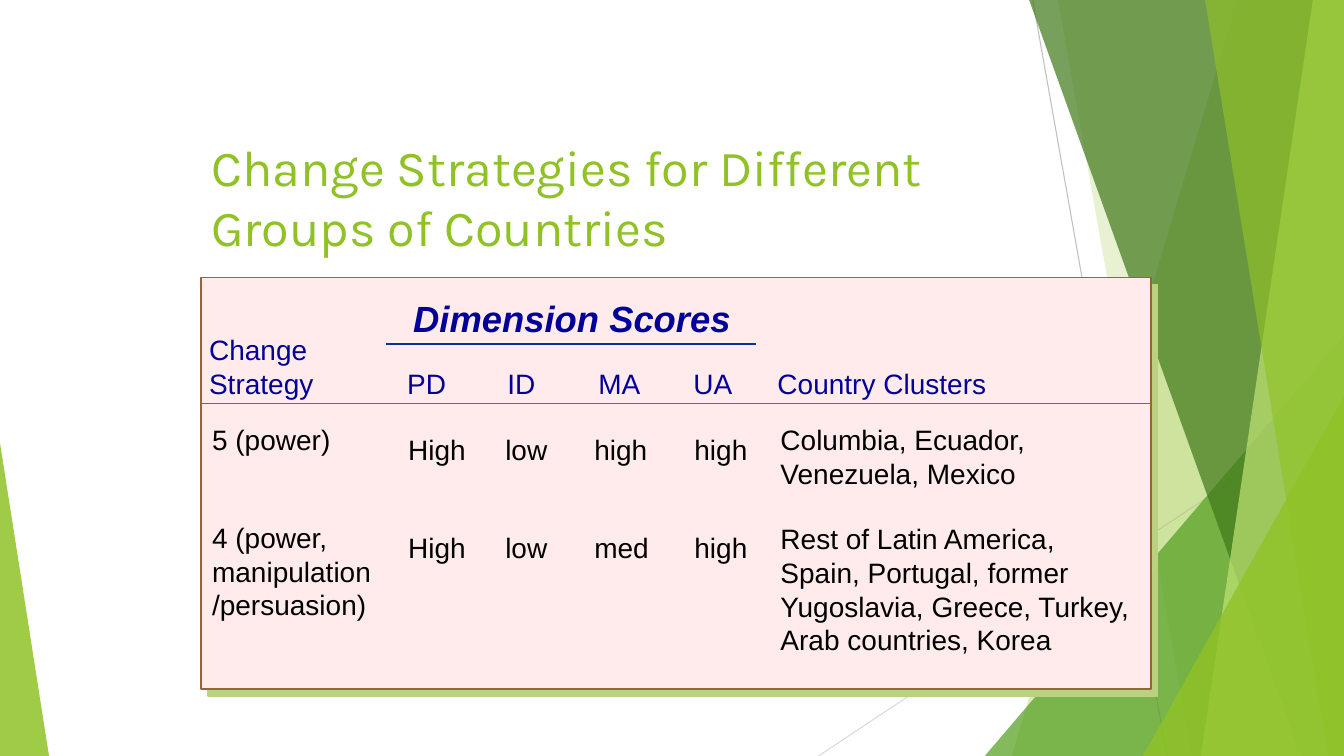
from lxml.etree import SubElement
from pptx import Presentation
from pptx.dml.color import RGBColor
from pptx.enum.shapes import MSO_CONNECTOR, MSO_SHAPE
from pptx.enum.text import MSO_ANCHOR, MSO_AUTO_SIZE, PP_ALIGN
from pptx.oxml.ns import qn
from pptx.util import Pt

PX = 9080
WIDTH, HEIGHT = 1343, 755

COLORS = {
    "lime": "90C226", "green": "54A021", "forest": "3F7819", "pale": "C0E474",
    "gray": "BFBFBF", "light_gray": "D9D9D9", "panel": "FFEBEB",
    "border": "996633", "shadow": "B9D181", "navy": "000099",
    "blue": "003399", "slate": "666699", "black": "000000",
}


class Deck:
    def __init__(self):
        self.prs = Presentation()
        self.prs.slide_width = WIDTH * PX
        self.prs.slide_height = HEIGHT * PX
        self.s = self.prs.slides.add_slide(self.prs.slide_layouts[5])

    def color(self, name):
        return RGBColor.from_string(COLORS[name])

    def paint(self, sp, fill, alpha=100):
        sp.shadow.inherit = False
        sp.fill.solid()
        sp.fill.fore_color.rgb = self.color(fill)
        sp.line.fill.background()
        if alpha < 100:
            clr = sp.fill._xPr.find(qn("a:solidFill"))[0]
            SubElement(clr, qn("a:alpha"), val=str(alpha * 1000))

    def line(self, x1, y1, x2, y2, color, width):
        sp = self.s.shapes.add_connector(
            MSO_CONNECTOR.STRAIGHT, x1 * PX, y1 * PX, x2 * PX, y2 * PX)
        sp.line.color.rgb = self.color(color)
        sp.line.width = Pt(width)
        SubElement(sp._element.spPr, qn("a:effectLst"))

    def band(self, top, bottom, fill, alpha):
        ff = self.s.shapes.build_freeform(top, -1, scale=PX)
        ff.add_line_segments([(WIDTH, -1), (WIDTH, HEIGHT), (bottom, HEIGHT)])
        self.paint(ff.convert_to_shape(), fill, alpha)

    def triangle(self, x, y, w, apex, fill, alpha):
        sp = self.s.shapes.add_shape(
            MSO_SHAPE.ISOSCELES_TRIANGLE, x * PX, y * PX, w * PX, (HEIGHT - y) * PX)
        sp.adjustments[0] = apex
        self.paint(sp, fill, alpha)

    def panel(self, x, y, w, h):
        sp = self.s.shapes.add_shape(MSO_SHAPE.RECTANGLE, x * PX, y * PX, w * PX, h * PX)
        self.paint(sp, "panel")
        sp.line.color.rgb = self.color("border")
        sp.line.width = Pt(1)
        effects = sp._element.spPr.find(qn("a:effectLst"))
        shadow = SubElement(effects, qn("a:outerShdw"), dist=str(Pt(7.1)),
                            dir="2700000", algn="ctr", rotWithShape="0")
        SubElement(shadow, qn("a:srgbClr"), val=COLORS["shadow"])

    def style(self, p, font, size, color, bold=False):
        for r in p.runs:
            r.font.name = font
            r.font.size = Pt(size)
            r.font.bold = r.font.italic = bold
            r.font.color.rgb = self.color(color)

    def title(self, text, x, y, w, h):
        sp = self.s.shapes.title
        sp.left, sp.top, sp.width, sp.height = (v * PX for v in (x, y, w, h))
        tf = sp.text_frame
        tf.text = text
        tf.auto_size = MSO_AUTO_SIZE.NONE
        tf.vertical_anchor = MSO_ANCHOR.MIDDLE
        p = tf.paragraphs[0]
        p.alignment = PP_ALIGN.LEFT
        self.style(p, "Karla", 36, "lime")

    def text(self, lines, x, y, w, h, color="black", size=20, bold=False, gap=0, tabs=()):
        sp = self.s.shapes.add_textbox(x * PX, y * PX, w * PX, h * PX)
        tf = sp.text_frame
        tf.text = "\n".join(lines)
        tf.word_wrap = True
        for i, p in enumerate(tf.paragraphs):
            p.space_before = Pt(gap if i else 0)
            self.style(p, "Arial", size, color, bold)
            if tabs:
                tab_list = SubElement(p._p.get_or_add_pPr(), qn("a:tabLst"))
                for pos in tabs:
                    SubElement(tab_list, qn("a:tab"), pos=str(pos * PX), algn="l")


def main():
    d = Deck()
    d.line(1032, 0, 1166, HEIGHT, "gray", 0.75)
    d.line(WIDTH, 406, 818, HEIGHT, "light_gray", 0.75)
    d.band(1237, 1011, "lime", 30)
    d.band(1057, 1191, "lime", 20)
    d.triangle(984, 335, 359, 1, "green", 72)
    d.band(1028, 1300, "forest", 70)
    d.band(1312, 1200, "pale", 70)
    d.band(1204, 1327, "lime", 65)
    d.triangle(1142, 396, 201, 1, "lime", 80)
    d.triangle(0, 442, 49, 0, "lime", 85)

    d.title("Change Strategies for Different Groups of Countries", 201, 124, 788, 144)
    d.panel(201, 277, 949, 411)
    d.text(["Change", "Strategy\tPD\tID\tMA\tUA\tCountry Clusters"],
           199, 327, 924, 76, "navy", tabs=(198, 298, 389, 484, 568))
    d.line(386, 344, 755, 344, "blue", 1.5)
    d.line(201, 403, 1149, 403, "slate", 1)
    d.text(["5 (power)", "4 (power, manipulation/persuasion)"],
           202, 417, 183, 278, gap=46)
    d.text(["High\tlow\thigh\thigh", "High\tlow\tmed\thigh"],
           398, 427, 360, 144, gap=46, tabs=(97, 186, 286))
    d.text(["Columbia, Ecuador, Venezuela, Mexico",
            "Rest of Latin America, Spain, Portugal, former Yugoslavia, "
            "Greece, Turkey, Arab countries, Korea"],
           770, 417, 380, 245, gap=23)
    d.text(["Dimension Scores"], 403, 291, 345, 53, "navy", size=26, bold=True)
    d.prs.save("out.pptx")


if __name__ == "__main__":
    main()
